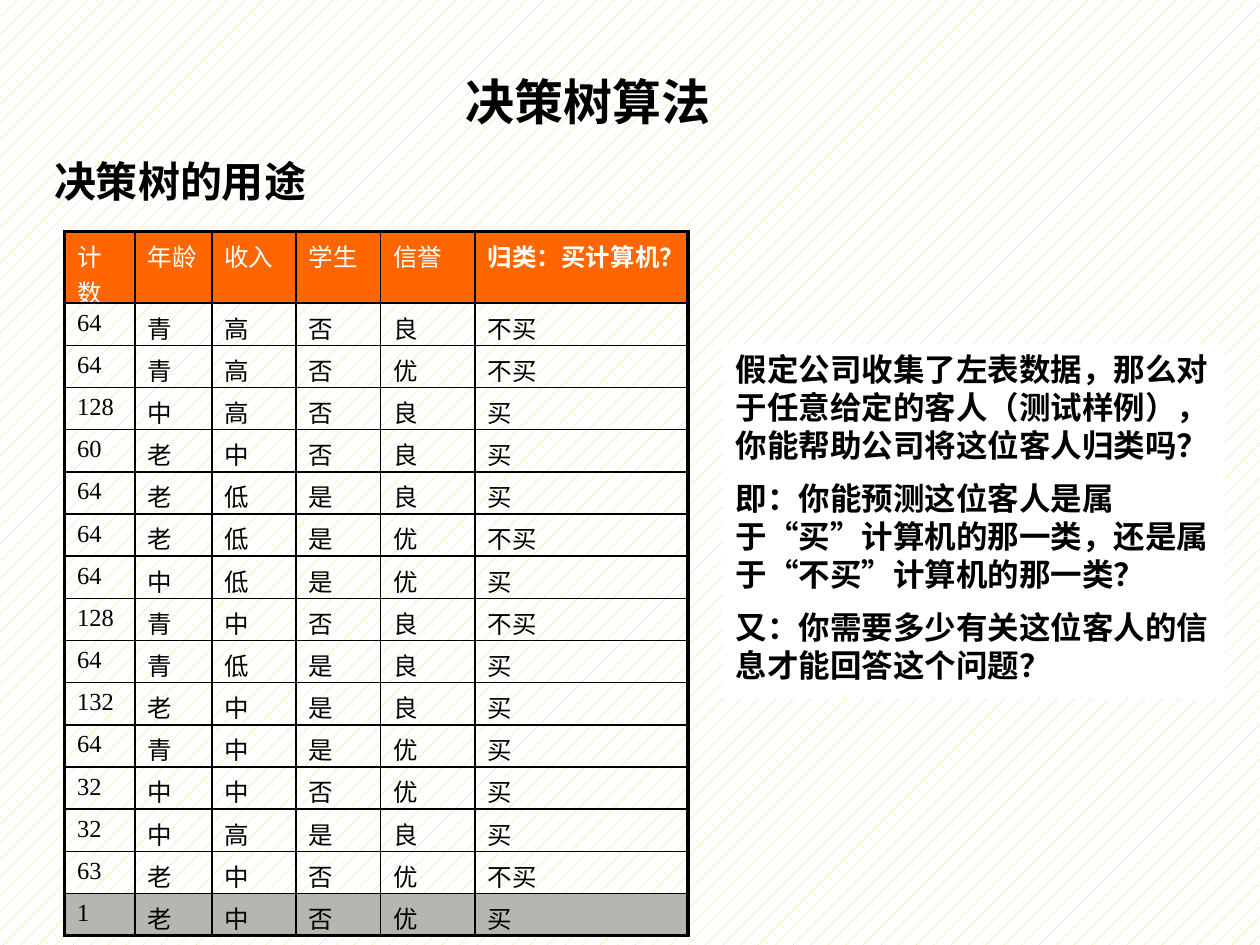
from lxml.etree import SubElement
from pptx import Presentation
from pptx.dml.color import RGBColor
from pptx.enum.dml import MSO_PATTERN
from pptx.enum.shapes import MSO_SHAPE
from pptx.enum.text import MSO_ANCHOR, PP_ALIGN
from pptx.oxml.ns import qn
from pptx.util import Cm, Pt

FONT = "Times New Roman"
HEADER = ["计数", "年龄", "收入", "学生", "信誉", "归类：买计算机？"]
CUSTOMERS = [
    (64, "青", "高", "否", "良", "不买"),
    (64, "青", "高", "否", "优", "不买"),
    (128, "中", "高", "否", "良", "买"),
    (60, "老", "中", "否", "良", "买"),
    (64, "老", "低", "是", "良", "买"),
    (64, "老", "低", "是", "优", "不买"),
    (64, "中", "低", "是", "优", "买"),
    (128, "青", "中", "否", "良", "不买"),
    (64, "青", "低", "是", "良", "买"),
    (132, "老", "中", "是", "良", "买"),
    (64, "青", "中", "是", "优", "买"),
    (32, "中", "中", "否", "优", "买"),
    (32, "中", "高", "是", "良", "买"),
    (63, "老", "中", "否", "优", "不买"),
    (1, "老", "中", "否", "优", "买"),
]
QUESTIONS = [
    "假定公司收集了左表数据，那么对于任意给定的客人（测试样例），你能帮助公司将这位客人归类吗？",
    "即：你能预测这位客人是属于“买”计算机的那一类，还是属于“不买”计算机的那一类？",
    "又：你需要多少有关这位客人的信息才能回答这个问题？",
]
HEADINGS = [  # text, size, left, top, width, height in cm
    ("决策树算法", 28, (9.14, 1.32, 5.46, 1.45)),
    ("决策树的用途", 24, (0.84, 3.02, 5.59, 1.27)),
]
COLUMN_WIDTHS = [1.42, 1.55, 1.7, 1.7, 1.91, 4.29]
HEADER_HEIGHT, ROW_HEIGHT = 1.41, 0.85
THICK, THIN = 2.25, 1


def color(value):
    return RGBColor.from_string(value)


def write(p, text, size, bold=False, font_color="000000"):
    r = p.add_run()
    r.text = text
    style = {"name": FONT, "size": Pt(size), "bold": bold}
    for name, value in style.items():
        setattr(r.font, name, value)
    r.font.color.rgb = color(font_color)


def set_borders(cell, widths):
    """Put black borders before the cell's fill, as the schema orders them."""
    tc_pr = cell._tc.get_or_add_tcPr()
    for i, (side, width) in enumerate(widths.items()):
        ln = SubElement(tc_pr, qn(f"a:ln{side}"), w=str(Pt(width)))
        fill = SubElement(ln, qn("a:solidFill"))
        SubElement(fill, qn("a:srgbClr"), val="000000")
        tc_pr.insert(i, ln)


def add_heading(s, text, size, box):
    tf = s.shapes.add_textbox(*map(Cm, box)).text_frame
    tf.word_wrap = False
    write(tf.paragraphs[0], text, size, bold=True)


def add_customer_table(s):
    rows = [HEADER] + CUSTOMERS
    last_row, last_col = len(rows) - 1, len(HEADER) - 1
    heights = [HEADER_HEIGHT] + [ROW_HEIGHT] * last_row
    table = s.shapes.add_table(len(rows), len(HEADER), Cm(1.3), Cm(4.67),
                               Cm(sum(COLUMN_WIDTHS)), Cm(sum(heights))).table
    table.first_row = table.horz_banding = False
    for column, width in zip(table.columns, COLUMN_WIDTHS):
        column.width = Cm(width)
    for i, (row, height) in enumerate(zip(rows, heights)):
        table.rows[i].height = Cm(height)
        for j, value in enumerate(row):
            cell = table.cell(i, j)
            if i in (0, last_row):
                cell.fill.solid()
                cell.fill.fore_color.rgb = color("B4B6B0" if i else "FF6600")
            else:
                cell.fill.background()
            set_borders(cell, {
                "L": THIN if j else THICK,
                "R": THICK if j == last_col else THIN,
                "T": THIN if i else THICK,
                "B": THICK if i == last_row else THIN,
            })
            write(cell.text_frame.paragraphs[0], str(value), 14,
                  bold=i == 0 and j == last_col,
                  font_color="000000" if i else "FFFFFF")


def add_questions(s):
    sp = s.shapes.add_shape(MSO_SHAPE.RECTANGLE, Cm(14.58), Cm(6.93), Cm(10.11), Cm(7.14))
    sp.shadow.inherit = False
    sp.fill.solid()
    sp.fill.fore_color.rgb = color("FFFFFF")
    sp.line.fill.background()
    tf = sp.text_frame
    tf.word_wrap = True
    tf.vertical_anchor = MSO_ANCHOR.TOP
    for i, text in enumerate(QUESTIONS):
        p = tf.add_paragraph() if i else tf.paragraphs[0]
        p.alignment = PP_ALIGN.LEFT
        if i:
            p.space_before = Pt(9)
        write(p, text, 18, bold=True)


prs = Presentation()
prs.slide_width, prs.slide_height = Cm(25.4), Cm(19.05)
s = prs.slides.add_slide(prs.slide_layouts[6])
background = s.background.fill
background.patterned()
background.pattern = MSO_PATTERN.PERCENT_5
background.fore_color.rgb = color("FFCC66")
background.back_color.rgb = color("FFFFFF")

for heading in HEADINGS:
    add_heading(s, *heading)
add_customer_table(s)
add_questions(s)
prs.save("out.pptx")
